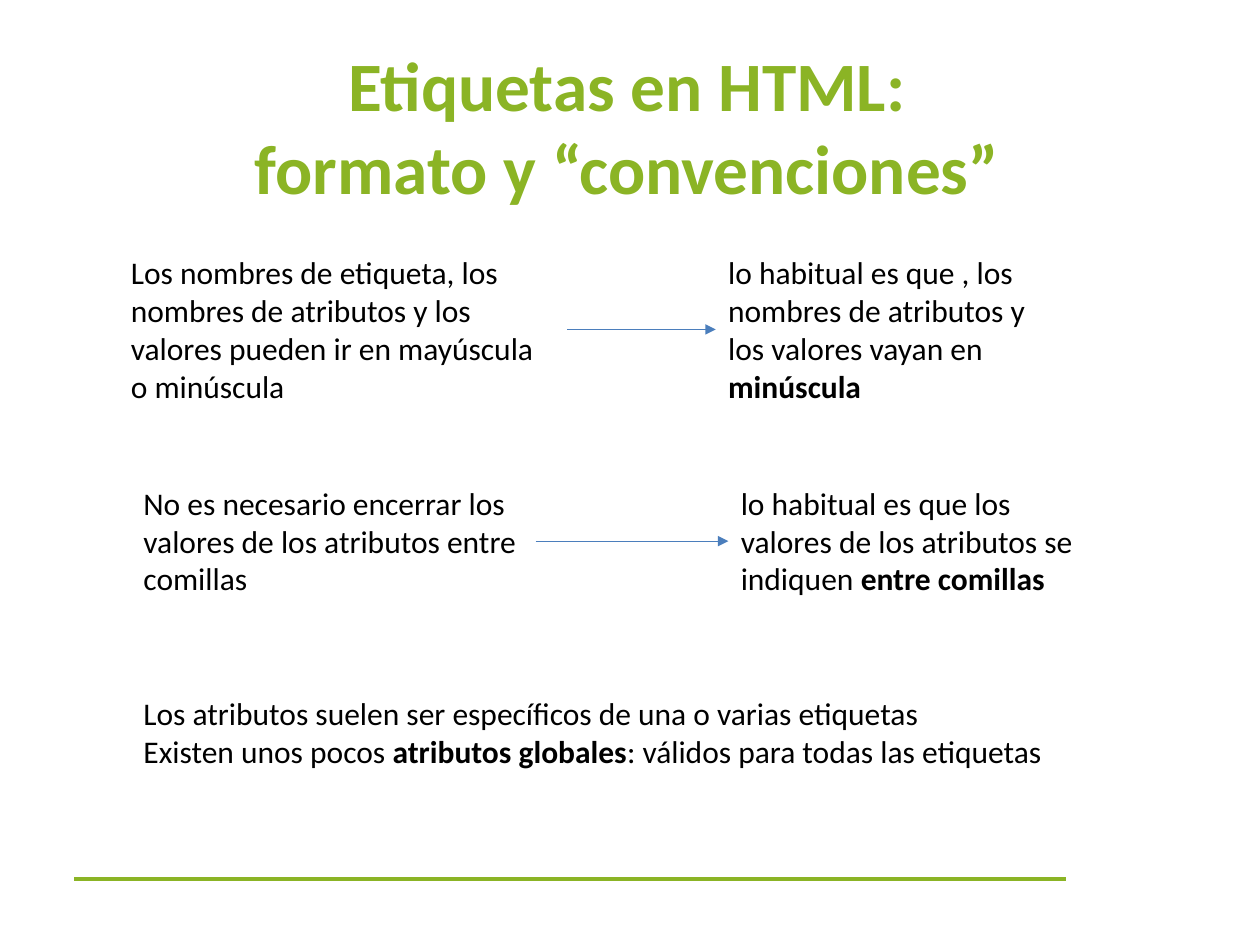
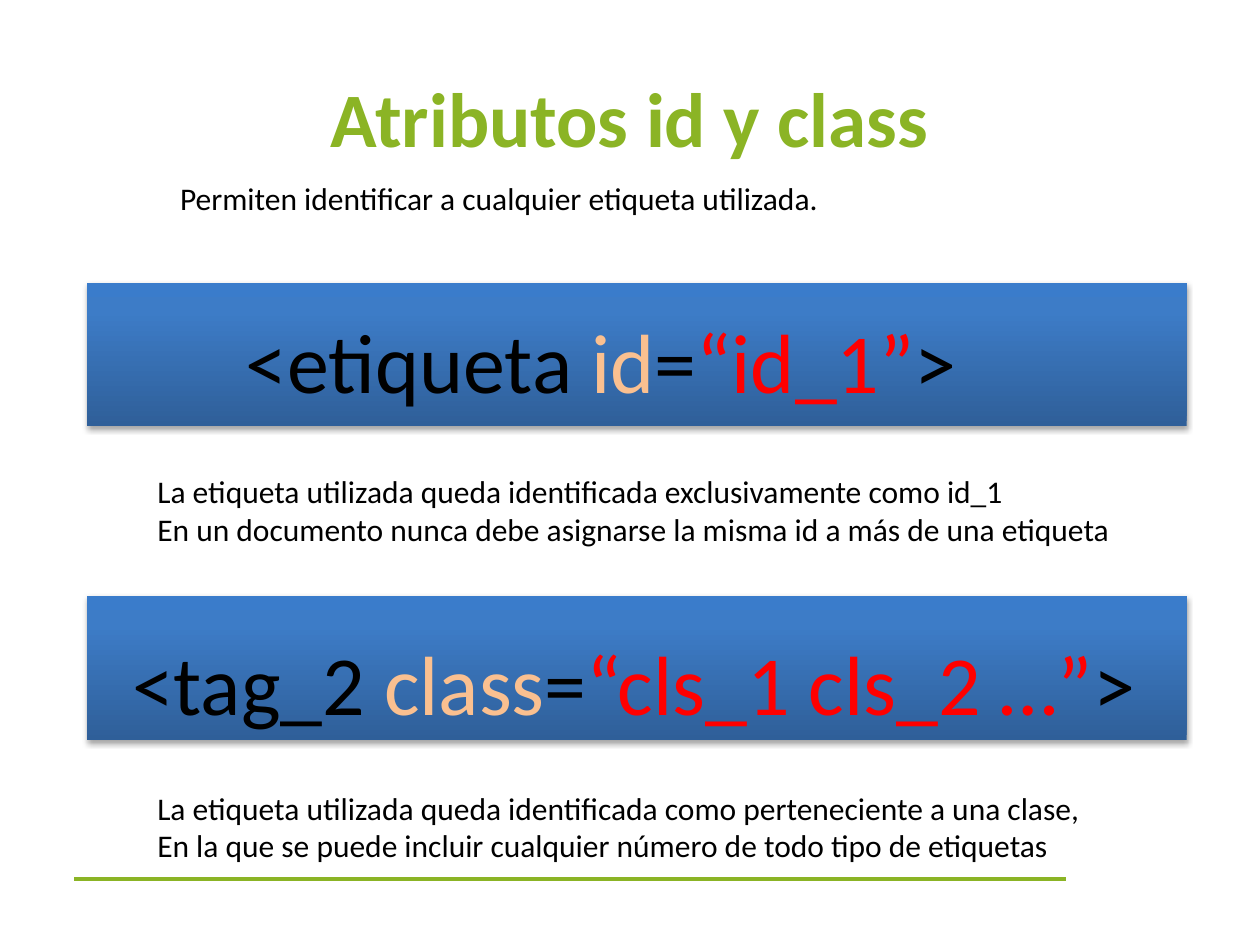
from lxml.etree import SubElement
from pptx import Presentation
from pptx.dml.color import RGBColor
from pptx.enum.shapes import MSO_CONNECTOR as Connector, MSO_SHAPE as Shape
from pptx.enum.text import MSO_ANCHOR as Anchor, MSO_AUTO_SIZE as AutoSize, PP_ALIGN as Align
from pptx.oxml.ns import qn
from pptx.util import Pt

FONT = "Calibri"
GREEN = RGBColor(0x8B, 0xB4, 0x25)
BLACK = RGBColor(0x00, 0x00, 0x00)
RED = RGBColor(0xFF, 0x00, 0x00)
PEACH = RGBColor(0xFA, 0xC0, 0x90)
ARROW_BLUE = RGBColor(0x4B, 0x7E, 0xBC)
BAND_STOPS = [
    (0, RGBColor(0x2F, 0x5F, 0x99)),
    (80, RGBColor(0x3D, 0x7C, 0xC7)),
    (100, RGBColor(0x3A, 0x7C, 0xCB)),
]
TITLE_ONLY = 5
BAND_LEFT, BAND_WIDTH, BAND_HEIGHT = 49.7, 628.5, 82


def add_page(deck, title, place, size):
    """Add a slide with the green title and the green footer rule."""
    page = deck.slides.add_slide(deck.slide_layouts[TITLE_ONLY])
    box = page.shapes.title
    box.left, box.top, box.width, box.height = map(Pt, place)
    frame = box.text_frame
    frame.text = title
    frame.auto_size = AutoSize.NONE
    frame.vertical_anchor = Anchor.MIDDLE
    para = frame.paragraphs[0]
    para.alignment = Align.CENTER
    set_font(para.font, size, GREEN)
    para.font.bold = True
    add_line(page, (42.5, 502.5), (609, 502.5), GREEN, 2.25)
    return page


def set_font(font, size, color):
    font.name = FONT
    font.size = Pt(size)
    font.color.rgb = color


def add_line(page, start, end, color, width):
    line = page.shapes.add_connector(Connector.STRAIGHT, *map(Pt, start + end))
    line.line.color.rgb = color
    line.line.width = Pt(width)
    SubElement(line._element.spPr, qn("a:effectLst"))
    return line


def add_arrow(page, source, target):
    """Join the right side of source to the left side of target."""
    arrow = add_line(page, (0, 0), (0, 0), ARROW_BLUE, 0.75)
    arrow.begin_connect(source, 3)
    arrow.end_connect(target, 1)
    SubElement(arrow.line._get_or_add_ln(), qn("a:tailEnd"), type="triangle")


def add_text(page, place, *lines, size=18, wrap=True):
    """Add a text box; each line is a list of strings or (string, style) spans.

    A style is either "bold" or a colour.
    """
    box = page.shapes.add_textbox(*map(Pt, place))
    frame = box.text_frame
    frame.word_wrap = wrap
    frame.auto_size = AutoSize.SHAPE_TO_FIT_TEXT
    for index, spans in enumerate(lines):
        para = frame.add_paragraph() if index else frame.paragraphs[0]
        set_font(para.font, size, BLACK)
        for span in spans:
            text, style = (span, None) if isinstance(span, str) else span
            run = para.add_run()
            run.text = text
            if style == "bold":
                run.font.bold = True
            elif style is not None:
                run.font.color.rgb = style
    return box


def add_band(page, top):
    """Add a blue gradient band with a soft shadow below it."""
    band = page.shapes.add_shape(
        Shape.RECTANGLE, *map(Pt, (BAND_LEFT, top, BAND_WIDTH, BAND_HEIGHT)))
    band.line.fill.background()
    band.fill.gradient()
    band.fill.gradient_angle = 90
    properties = band._element.spPr
    stops = properties.find(f"{qn('a:gradFill')}/{qn('a:gsLst')}")
    for stop in list(stops):
        stops.remove(stop)
    for percent, color in BAND_STOPS:
        stop = SubElement(stops, qn("a:gs"), pos=str(percent * 1000))
        SubElement(stop, qn("a:srgbClr"), val=str(color))
    band.shadow.inherit = False
    shadow = SubElement(
        properties.find(qn("a:effectLst")), qn("a:outerShdw"),
        blurRad=str(Pt(3.1)), dist=str(Pt(1.8)), dir="5400000", rotWithShape="0")
    shade = SubElement(shadow, qn("a:srgbClr"), val=str(BLACK))
    SubElement(shade, qn("a:alpha"), val="35000")


def add_code(page, place, tag, attribute, value):
    add_text(page, place,
             [f"<{tag} ", (attribute, PEACH), "=", (f"“{value}”", RED), ">"],
             size=48, wrap=False)


def build_conventions(deck):
    page = add_page(deck, "Etiquetas en HTML:\vformato y “convenciones”",
                    (23.8, 20.9, 668.9, 101.5), 39.6)
    names_rule = add_text(
        page, (67.7, 141.1, 256.3, 94.3),
        ["Los nombres de etiqueta, los nombres de atributos y los valores "
         "pueden ir en mayúscula o minúscula"])
    names_habit = add_text(
        page, (409, 141.1, 203.8, 94.3),
        ["lo habitual es que , los nombres de atributos y los valores vayan en ",
         ("minúscula", "bold")])
    quotes_rule = add_text(
        page, (74.9, 272.9, 231.1, 72.7),
        ["No es necesario encerrar los valores de los atributos entre comillas"])
    quotes_habit = add_text(
        page, (416.2, 272.9, 208.1, 72.7),
        ["lo habitual es que los valores de los atributos se indiquen ",
         ("entre comillas", "bold")])
    add_text(
        page, (74.9, 393.1, 549.4, 51),
        ["Los atributos suelen ser específicos de una o varias etiquetas"],
        ["Existen unos pocos ", ("atributos globales", "bold"),
         ": válidos para todas las etiquetas"])
    add_arrow(page, names_rule, names_habit)
    add_arrow(page, quotes_rule, quotes_habit)


def build_id_and_class(deck):
    page = add_page(deck, "Atributos id y class", (36, 21.6, 648, 90), 44)
    add_text(page, (95.8, 98.6, 392.4, 29),
             ["Permiten identificar a cualquier etiqueta utilizada."], wrap=False)
    add_band(page, 161.5)
    add_code(page, (133.2, 173.5, 425.5, 65.5), "etiqueta", "id", "id_1")
    add_band(page, 340.6)
    add_code(page, (68.4, 357.1, 593.3, 65.5), "tag_2", "class", "cls_1 cls_2 …")
    add_text(
        page, (82.8, 266.4, 570.2, 51),
        ["La etiqueta utilizada queda identificada exclusivamente como id_1"],
        ["En un documento nunca debe asignarse la misma id a más de una etiqueta"],
        wrap=False)
    add_text(
        page, (82.8, 447.1, 544.3, 51),
        ["La etiqueta utilizada queda identificada como perteneciente a una clase,"],
        ["En la que se puede incluir cualquier número de todo tipo de etiquetas"],
        wrap=False)


def main():
    deck = Presentation()
    deck.slide_width, deck.slide_height = Pt(720), Pt(540)
    build_conventions(deck)
    build_id_and_class(deck)
    deck.save("out.pptx")


if __name__ == "__main__":
    main()
